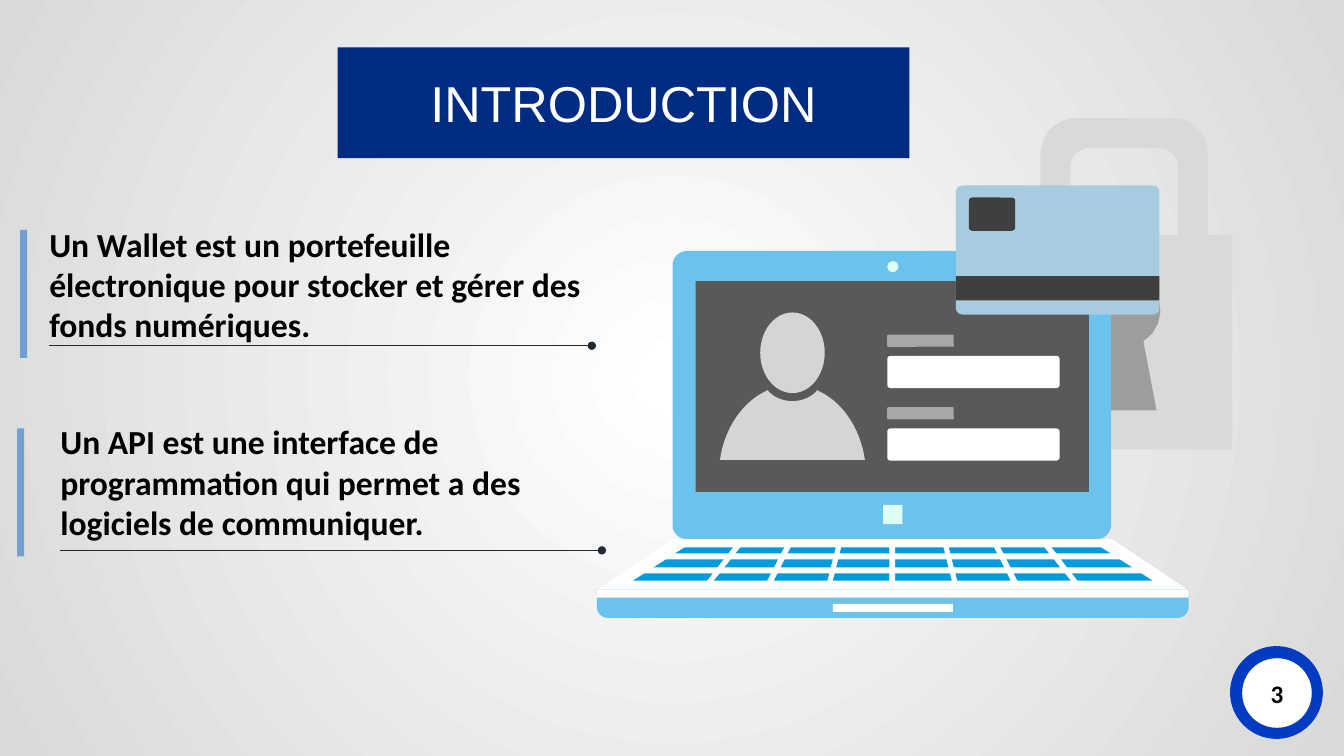
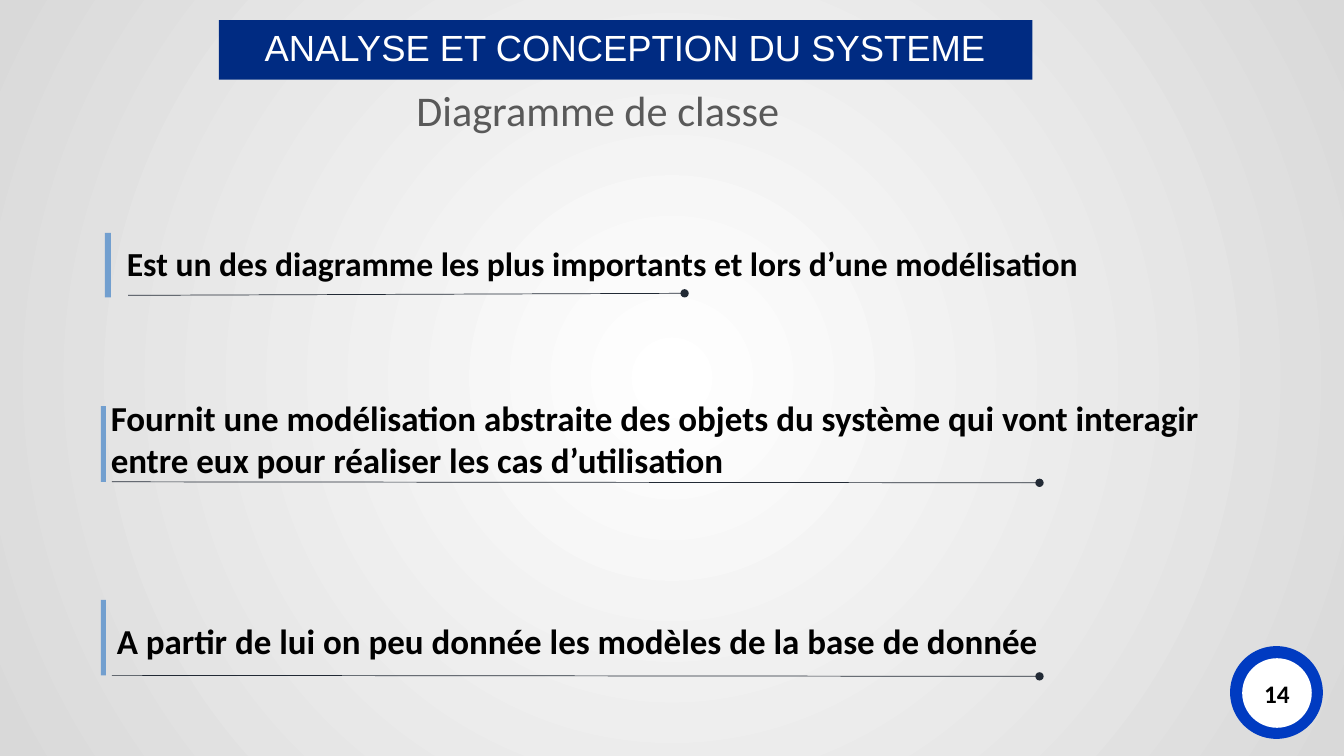
import math

import pptx
import pptx.dml.color
import pptx.enum.shapes
import pptx.enum.text
import pptx.oxml.ns
import pptx.oxml.xmlchemy
import pptx.shapes.autoshape
import pptx.util

Inches = pptx.util.Inches
qn = pptx.oxml.ns.qn
new_element = pptx.oxml.xmlchemy.OxmlElement
KIND = pptx.enum.shapes.MSO_SHAPE
ALIGN = pptx.enum.text.PP_ALIGN
ANCHOR = pptx.enum.text.MSO_ANCHOR
FIT = pptx.enum.text.MSO_AUTO_SIZE.SHAPE_TO_FIT_TEXT

# Shared look
NAVY, BLUE, BAR, RULE = "002B82", "003BC1", "729FCF", "222A35"
WHITE, BLACK, GREY, SILVER = "FFFFFF", "000000", "595959", "D9D9D9"
SKY, KEY, MINT, CARD, CHARCOAL = "6BC2ED", "019ADD", "DEFFF3", "A7CCDF", "3F3F3F"
CENTRED = {"alignment": ALIGN.CENTER}
MIDDLE = {"word_wrap": True, "vertical_anchor": ANCHOR.MIDDLE}
GROWING = {"word_wrap": True, "auto_size": FIT}
FLUSH = {**MIDDLE, "margin_left": 0, "margin_right": 0, "margin_top": 0, "margin_bottom": 0}


def paint(target, colour, opacity=100):
    """Fill a shape, font or line with one colour."""
    target.fill.solid()
    target.fill.fore_color.rgb = pptx.dml.color.RGBColor.from_string(colour)
    if isinstance(target, pptx.shapes.autoshape.Shape):
        target.shadow.inherit = False
        target.line.fill.background()
        if opacity < 100:
            solid = target._element.spPr.find(qn("a:solidFill"))
            alpha = new_element("a:alpha")
            alpha.set("val", str(opacity * 1000))
            solid[0].append(alpha)


def write(shape, text, colour, font, paragraph_format, frame_format):
    """Put one formatted paragraph into a shape."""
    frame = shape.text_frame
    paragraph = frame.paragraphs[0]
    run = paragraph.add_run()
    run.text = text
    for target, values in ((frame, frame_format), (paragraph, paragraph_format), (run.font, font)):
        for name, value in values.items():
            setattr(target, name, value)
    paint(run.font, colour)


# Content: a statement is text, size, text box, rule ends, bar
slides = [
    {
        "title": ("INTRODUCTION", 36, (3.35, 0.47, 5.67, 1.1), CENTRED),
        "number": "3",
        "statements": [
            ("Un Wallet est un portefeuille électronique pour stocker et gérer des fonds numériques.",
             24, (0.39, 2.17, 5.61, 1.3), (0.49, 3.43, 5.87, 3.43), (0.2, 2.28, 0.07, 1.27)),
            ("Un API est une interface de programmation qui permet a des logiciels de communiquer.",
             24, (0.5, 4.13, 5.61, 1.3), (0.6, 5.46, 5.97, 5.46), (0.17, 4.25, 0.07, 1.27)),
        ],
    },
    {
        "title": ("ANALYSE ET CONCEPTION DU SYSTEME", 26, (2.17, 0.2, 8.07, 0.59),
                  {**CENTRED, "line_spacing": 0.9, "space_after": pptx.util.Pt(5.6)}),
        "subtitle": "Diagramme de classe",
        "number": "14",
        "statements": [
            ("Est un des diagramme les plus importants et lors d’une modélisation",
             24, (1.16, 2.36, 10.47, 0.5), (1.27, 2.93, 6.79, 2.91), (1.04, 2.31, 0.06, 0.64)),
            ("Fournit une modélisation abstraite des objets du système qui vont interagir "
             "entre eux pour réaliser les cas d’utilisation",
             25, (1, 3.88, 11.01, 0.93), (1.11, 4.78, 10.31, 4.79), (1, 4.03, 0.05, 0.75)),
            ("A partir de lui on peu donnée les modèles de la base de donnée",
             25, (1.06, 6.1, 11.01, 0.52), (1.11, 6.7, 10.31, 6.71), (1, 5.95, 0.05, 0.75)),
        ],
    },
]

# Outlines: (x, y) is a point, (x, y, rx, ry, from, to) an arc in degrees
keyhole = [(11.15, 3.08, 0.36, 0.36, 122, 418), (11.47, 4.07), (10.84, 4.07)]
shackle = [
    (10.68, 1.53, 0.36, 0.36, 180, 270), (11.62, 1.53, 0.36, 0.36, 270, 360),
    (11.98, 2.33), (11.68, 2.33),
    (11.5, 1.65, 0.18, 0.18, 360, 270), (10.8, 1.65, 0.18, 0.18, 270, 180),
    (10.62, 2.33), (10.32, 2.33),
]
shoulders = [
    (7.86, 4.72, 0.73, 0.9, 190, 251), (7.86, 3.73, 0.3, 0.25, 146, 34),
    (7.86, 4.72, 0.73, 0.9, 289, 350),
]
deck = [(6.67, 5.35), (11.03, 5.35), (11.78, 5.85), (5.92, 5.85)]
keys = [(6.79, 5.43), (10.92, 5.43), (11.43, 5.76), (6.28, 5.76)]
slanted_gaps = [
    [(9.4, 5.39), (9.5, 5.79), (9.45, 5.8), (9.35, 5.4)],
    [(9.9, 5.39), (10.1, 5.78), (10.05, 5.81), (9.85, 5.41)],
    [(10.39, 5.38), (10.7, 5.78), (10.66, 5.81), (10.35, 5.42)],
]
laptop_axis = 8.85
slanted_gaps += [[(2 * laptop_axis - x, y) for x, y in gap] for gap in slanted_gaps]

# Illustration from back to front: kind, box or outline, colour, opacity, roundings
OUTLINE = None
illustration = [
    (KIND.RECTANGLE, (10.09, 2.33, 2.13, 2.13), SILVER, 100, ()),
    (OUTLINE, keyhole, "404040", 39, ()),
    (OUTLINE, shackle, SILVER, 100, ()),
    (KIND.ROUNDED_RECTANGLE, (6.67, 2.49, 4.35, 2.86), SKY, 100, (0.05,)),
    (KIND.RECTANGLE, (6.9, 2.79, 3.9, 2.09), GREY, 100, ()),
    (KIND.OVAL, (8.8, 2.59, 0.11, 0.11), MINT, 100, ()),
    (KIND.RECTANGLE, (8.76, 5.01, 0.19, 0.19), MINT, 100, ()),
    (OUTLINE, deck, WHITE, 100, ()),
    (KIND.ROUND_2_SAME_RECTANGLE, (5.92, 5.85, 5.87, 0.28), SKY, 100, (0, 0.39)),
    (KIND.RECTANGLE, (8.26, 5.99, 1.19, 0.08), WHITE, 100, ()),
    (KIND.RECTANGLE, (5.92, 5.85, 5.87, 0.08), WHITE, 100, ()),
    (OUTLINE, keys, KEY, 100, ()),
    (KIND.RECTANGLE, (8.82, 5.4, 0.06, 0.4), WHITE, 100, ()),
    (KIND.RECTANGLE, (6.51, 5.49, 4.66, 0.06), WHITE, 100, ()),
    (KIND.RECTANGLE, (6.34, 5.63, 5.07, 0.06), WHITE, 100, ()),
]
illustration += [(OUTLINE, gap, WHITE, 100, ()) for gap in slanted_gaps]
illustration += [
    (KIND.OVAL, (7.54, 3.1, 0.64, 0.8), WHITE, 75, ()),
    (OUTLINE, shoulders, WHITE, 75, ()),
]
for top in (3.32, 4.04):
    illustration += [
        (KIND.ROUNDED_RECTANGLE, (8.8, top, 0.66, 0.12), WHITE, 47, (0.08,)),
        (KIND.ROUNDED_RECTANGLE, (8.8, top + 0.21, 1.71, 0.32), WHITE, 100, (0.1,)),
    ]
illustration += [
    (KIND.ROUNDED_RECTANGLE, (9.48, 1.84, 2.02, 1.28), CARD, 100, (0.05,)),
    (KIND.RECTANGLE, (9.48, 2.74, 2.02, 0.24), CHARCOAL, 100, ()),
    (KIND.ROUNDED_RECTANGLE, (9.61, 1.96, 0.46, 0.33), CHARCOAL, 100, (0.1,)),
]

presentation = pptx.Presentation()
presentation.slide_width, presentation.slide_height = Inches(13.33), Inches(7.5)

for content in slides:
    slide = presentation.slides.add_slide(presentation.slide_layouts[6])

    # Radial background
    background = slide.background.fill
    background.gradient()
    for stop, colour in zip(background.gradient_stops, (WHITE, SILVER)):
        stop.color.rgb = pptx.dml.color.RGBColor.from_string(colour)
    gradient = slide.element.find(".//" + qn("a:gradFill"))
    gradient.remove(gradient.find(qn("a:lin")))
    radial = new_element("a:path")
    radial.set("path", "circle")
    centre = new_element("a:fillToRect")
    for side in "ltrb":
        centre.set(side, "50000")
    radial.append(centre)
    gradient.append(radial)

    # Laptop, padlock and card
    if content is slides[0]:
        group = slide.shapes.add_group_shape()
        for kind, geometry, colour, opacity, roundings in illustration:
            if kind is OUTLINE:
                points = []
                for x, y, *arc in geometry:
                    if arc:
                        rx, ry, start, end = arc
                        angles = [math.radians(start + (end - start) * i / 16) for i in range(17)]
                        points += [(x + rx * math.cos(a), y + ry * math.sin(a)) for a in angles]
                    else:
                        points.append((x, y))
                points = [(Inches(x), Inches(y)) for x, y in points]
                builder = group.shapes.build_freeform(*points[0])
                builder.add_line_segments(points[1:], close=True)
                shape = builder.convert_to_shape()
            else:
                shape = group.shapes.add_shape(kind, *map(Inches, geometry))
                for i, rounding in enumerate(roundings):
                    shape.adjustments[i] = rounding
            paint(shape, colour, opacity)

    # Title band and subtitle
    text, size, box, paragraph_format = content["title"]
    band = slide.shapes.add_shape(KIND.RECTANGLE, *map(Inches, box))
    paint(band, NAVY)
    write(band, text, WHITE, {"name": "Arial", "size": pptx.util.Pt(size)}, paragraph_format, MIDDLE)
    if "subtitle" in content:
        subtitle = slide.shapes.add_textbox(*map(Inches, (4.13, 0.79, 5.31, 0.59)))
        write(subtitle, content["subtitle"], GREY,
              {"name": "Calibri", "size": pptx.util.Pt(30.2)}, {}, FLUSH)

    # Statements with side bar and dotted rule
    for text, size, text_box, rule_ends, bar_box in content["statements"]:
        group = slide.shapes.add_group_shape()
        statement = group.shapes.add_textbox(*map(Inches, text_box))
        write(statement, text, BLACK,
              {"name": "Calibri", "size": pptx.util.Pt(size), "bold": True}, {}, GROWING)
        rule = group.shapes.add_connector(
            pptx.enum.shapes.MSO_CONNECTOR.STRAIGHT, *map(Inches, rule_ends))
        paint(rule.line, RULE)
        rule.line.width = pptx.util.Pt(0.5)
        dot = new_element("a:tailEnd")
        dot.set("type", "oval")
        rule._element.spPr.find(qn("a:ln")).append(dot)
        rule._element.spPr.append(new_element("a:effectLst"))
        bar = group.shapes.add_shape(KIND.RECTANGLE, *map(Inches, bar_box))
        paint(bar, BAR)

    # Page number badge
    group = slide.shapes.add_group_shape()
    for left, top, diameter, colour in ((12.2, 6.41, 0.92, BLUE), (12.32, 6.53, 0.69, WHITE)):
        badge = group.shapes.add_shape(
            KIND.OVAL, Inches(left), Inches(top), Inches(diameter), Inches(diameter))
        paint(badge, colour)
    write(badge, content["number"], BLACK,
          {"name": "Calibri", "size": pptx.util.Pt(18), "bold": True}, CENTRED, MIDDLE)

presentation.save("out.pptx")
